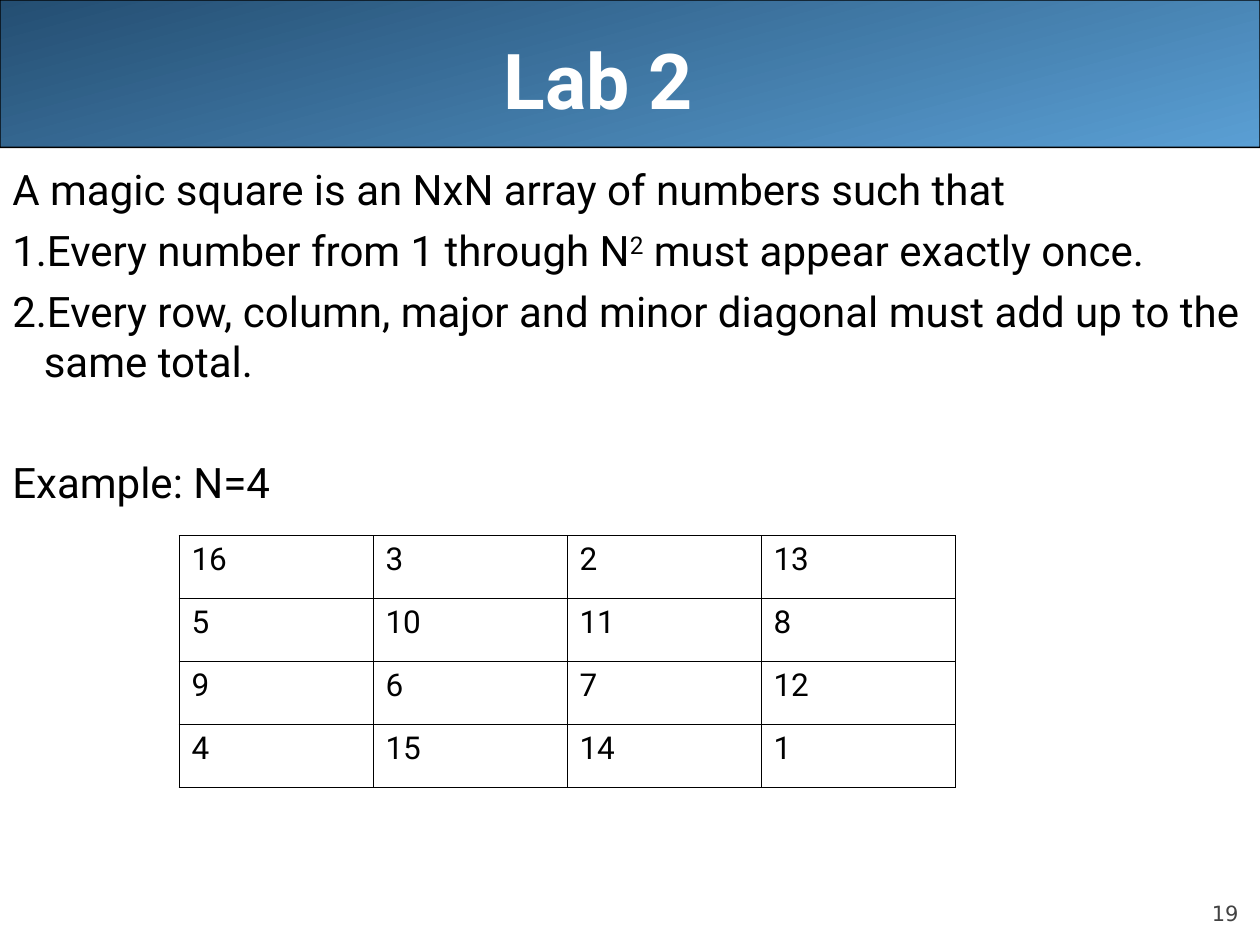
from lxml import etree
from pptx import Presentation
from pptx.dml.color import RGBColor
from pptx.enum.shapes import MSO_SHAPE
from pptx.enum.text import MSO_ANCHOR, MSO_AUTO_SIZE, PP_ALIGN
from pptx.oxml.ns import qn
from pptx.util import Inches, Pt

ROUNDED = MSO_SHAPE.ROUNDED_RECTANGLE
MIDDLE, BOTTOM = MSO_ANCHOR.MIDDLE, MSO_ANCHOR.BOTTOM
CENTER, RIGHT = PP_ALIGN.CENTER, PP_ALIGN.RIGHT
NO_AUTOFIT = MSO_AUTO_SIZE.NONE

COLORS = {
    "text": "000000",
    "title": "FFFFFF",
    "page": "424242",
    "banner_dark": "244E72",
    "banner_light": "5A9FD4",
}
MAGIC_SQUARE = [
    [16, 3, 2, 13],
    [5, 10, 11, 8],
    [9, 6, 7, 12],
    [4, 15, 14, 1],
]


class LabSlide:
    font = "Roboto"

    def __init__(self, presentation):
        self.slide = presentation.slides.add_slide(presentation.slide_layouts[5])
        self.shapes = self.slide.shapes

    def color(self, name):
        return RGBColor.from_string(COLORS[name])

    def style(self, paragraph, size, color="text", bold=False, font=None):
        paragraph.font.name = font or self.font
        paragraph.font.size = Pt(size)
        paragraph.font.bold = bold
        paragraph.font.color.rgb = self.color(color)

    def banner(self, height):
        banner = self.shapes.add_shape(ROUNDED, 0, 0, Inches(10), Inches(height))
        banner.adjustments[0] = 0.001
        banner.shadow.inherit = False
        banner.fill.gradient()
        banner.fill.gradient_angle = 285
        for stop, name in zip(banner.fill.gradient_stops, ("banner_dark", "banner_light")):
            stop.color.rgb = self.color(name)
        banner.line.color.rgb = self.color("text")
        banner.line.width = Pt(0.75)
        self.shapes.title.element.addprevious(banner.element)

    def title(self, text):
        title = self.shapes.title
        title.left, title.top = Inches(0.5), 0
        title.width, title.height = Inches(9), Inches(1.25)
        frame = title.text_frame
        frame.text = text
        frame.auto_size = NO_AUTOFIT
        frame.vertical_anchor = MIDDLE
        frame.margin_right = Inches(0.6)
        frame.paragraphs[0].alignment = CENTER
        self.style(frame.paragraphs[0], 44, "title", bold=True)

    def text_box(self, left, top, width, height):
        box = self.shapes.add_textbox(Inches(left), Inches(top), Inches(width), Inches(height))
        box.text_frame.word_wrap = True
        return box.text_frame

    def body_line(self, paragraph, parts, space_before, numbered=False):
        """Fill a hanging paragraph; every second part is superscript."""
        properties = paragraph._p.get_or_add_pPr()
        properties.set("marL", str(Inches(0.25)))
        properties.set("indent", str(Inches(-0.25)))
        paragraph.space_before = Pt(space_before)
        if numbered:
            etree.SubElement(properties, qn("a:buFont"), typeface=self.font)
            etree.SubElement(properties, qn("a:buAutoNum"), type="arabicPeriod")
        for index, part in enumerate(parts):
            run = paragraph.add_run()
            run.text = part
            if index % 2:
                run._r.get_or_add_rPr().set("baseline", "30000")
        self.style(paragraph, 24)

    def body(self, lines):
        frame = self.text_box(0, 1.25, 10, 6.25)
        for index, line in enumerate(lines):
            paragraph = frame.add_paragraph() if index else frame.paragraphs[0]
            self.body_line(paragraph, *line)

    def cell_border(self, cell):
        properties = cell._tc.get_or_add_tcPr()
        for position, side in enumerate(("a:lnL", "a:lnR", "a:lnT", "a:lnB")):
            line = etree.Element(qn(side), w=str(Pt(0.45)))
            fill = etree.SubElement(line, qn("a:solidFill"))
            etree.SubElement(fill, qn("a:srgbClr"), val=COLORS["text"])
            properties.insert(position, line)

    def number_grid(self, rows, left, top, column_width, row_height):
        count = len(rows)
        table = self.shapes.add_table(
            count, count, Inches(left), Inches(top),
            Inches(column_width * count), Inches(row_height * count),
        ).table
        table.first_row = table.horz_banding = False
        for row_index, row in enumerate(rows):
            for column_index, number in enumerate(row):
                cell = table.cell(row_index, column_index)
                cell.text = str(number)
                cell.fill.background()
                self.cell_border(cell)
                self.style(cell.text_frame.paragraphs[0], 18)

    def page_number(self, number):
        frame = self.text_box(9, 6.95, 0.83, 0.4)
        frame.margin_left = frame.margin_right = 0
        frame.margin_top = frame.margin_bottom = 0
        frame.vertical_anchor = BOTTOM
        frame.text = str(number)
        frame.paragraphs[0].alignment = RIGHT
        self.style(frame.paragraphs[0], 12, "page", font="DejaVu Sans")


def main():
    presentation = Presentation()
    presentation.slide_width, presentation.slide_height = Inches(10), Inches(7.5)
    lab = LabSlide(presentation)
    lab.banner(1.17)
    lab.page_number(19)
    lab.title("Lab 2")
    lab.body([
        (["A magic square is an NxN array of numbers such that"], 0),
        (["Every number from 1 through N", "2", " must appear exactly once."], 6, True),
        (["Every row, column, major and minor diagonal must add up to the same total."], 6, True),
        (["Example: N=4"], 40),
    ])
    lab.number_grid(MAGIC_SQUARE, left=1.42, top=4.25, column_width=1.54, row_height=0.5)
    presentation.save("out.pptx")


if __name__ == "__main__":
    main()
